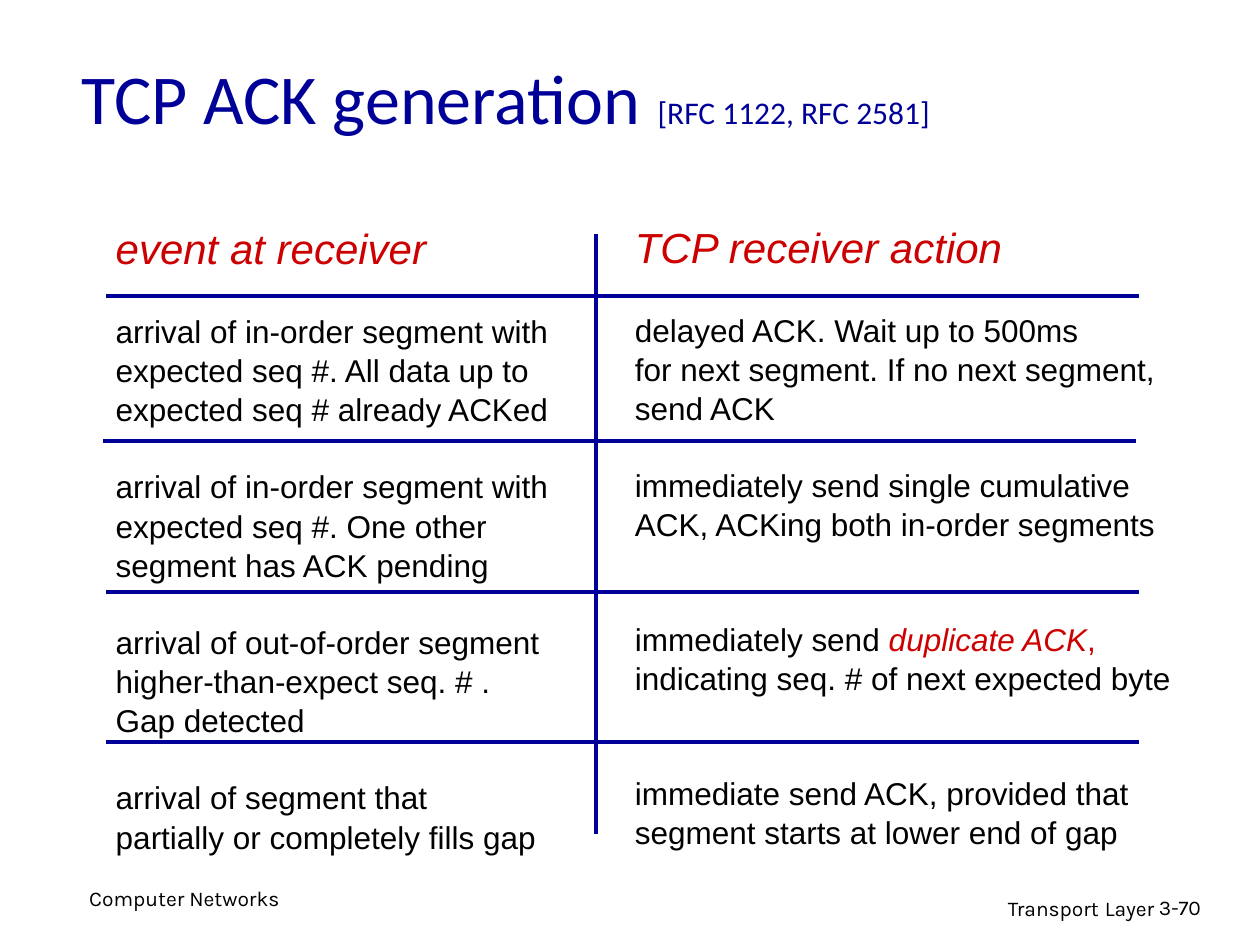
from dataclasses import dataclass

from lxml.etree import SubElement
from pptx import Presentation
from pptx.dml.color import RGBColor
from pptx.enum.shapes import MSO_CONNECTOR as Connector
from pptx.enum.text import MSO_ANCHOR as Anchor, MSO_AUTO_SIZE as AutoSize, PP_ALIGN as Align
from pptx.oxml.ns import qn
from pptx.util import Inches, Pt

NAVY, RED, BLACK = "000099", "CC0000", "000000"
LINE_PITCH = 21.5
LINES_PER_ROW = 4


def color(hex_string):
    return RGBColor.from_string(hex_string)


@dataclass
class Run:
    text: str
    size: float = 18
    ink: str = BLACK
    italic: bool = False
    font: str = "Arial"


class AckSlide:
    """Holds the style and the slide, and adds each kind of element to it."""

    def __init__(self, slide):
        self.slide = slide

    def add_runs(self, paragraph, runs):
        for part in runs:
            run = paragraph.add_run()
            run.text = part.text
            run.font.size = Pt(part.size)
            run.font.name = part.font
            run.font.italic = part.italic
            run.font.color.rgb = color(part.ink)

    def title(self, left, top, width, height, runs):
        heading = self.slide.shapes.title
        heading.left, heading.top = Inches(left), Inches(top)
        heading.width, heading.height = Inches(width), Inches(height)
        frame = heading.text_frame
        frame.word_wrap = True
        frame.auto_size = AutoSize.NONE
        frame.vertical_anchor = Anchor.MIDDLE
        frame.paragraphs[0].alignment = Align.LEFT
        self.add_runs(frame.paragraphs[0], runs)

    def text_frame(self, left, top, width, height):
        box = self.slide.shapes.add_textbox(
            Inches(left), Inches(top), Inches(width), Inches(height))
        box.text_frame.word_wrap = True
        return box.text_frame

    def footer(self, left, top, width, height, runs, align=Align.LEFT):
        paragraph = self.text_frame(left, top, width, height).paragraphs[0]
        paragraph.alignment = align
        self.add_runs(paragraph, runs)

    def column(self, left, top, width, height, header, rows):
        frame = self.text_frame(left, top, width, height)
        frame.word_wrap = False
        frame.auto_size = AutoSize.SHAPE_TO_FIT_TEXT
        heading = frame.paragraphs[0]
        heading.line_spacing = 1.04
        self.add_runs(heading, [Run(header, 24, RED, True)])
        gap = 1
        for lines in rows:
            for index, line in enumerate(lines):
                paragraph = frame.add_paragraph()
                paragraph.line_spacing = 1.04
                if index == 0:
                    paragraph.space_before = Pt(gap * LINE_PITCH)
                self.add_runs(paragraph, [Run(line)] if isinstance(line, str) else line)
            gap = LINES_PER_ROW - len(lines)

    def rule(self, x1, y1, x2, y2):
        line = self.slide.shapes.add_connector(
            Connector.STRAIGHT, Inches(x1), Inches(y1), Inches(x2), Inches(y2))
        line.line.color.rgb = color(NAVY)
        line.line.width = Pt(2.25)
        SubElement(line._element.spPr, qn("a:effectLst"))


EVENTS = [
    ["arrival of in-order segment with", "expected seq #. All data up to",
     "expected seq # already ACKed"],
    ["arrival of in-order segment with", "expected seq #. One other",
     "segment has ACK pending"],
    ["arrival of out-of-order segment", "higher-than-expect seq. # .",
     "Gap detected"],
    ["arrival of segment that", "partially or completely fills gap"],
]
ACTIONS = [
    ["delayed ACK. Wait up to 500ms", "for next segment. If no next segment,",
     "send ACK"],
    ["immediately send single cumulative", "ACK, ACKing both in-order segments"],
    [[Run("immediately send "), Run("duplicate ACK", ink=RED, italic=True), Run(",", ink=RED)],
     "indicating seq. # of next expected byte"],
    ["immediate send ACK, provided that", "segment starts at lower end of gap"],
]


def main():
    deck = Presentation()
    deck.slide_width, deck.slide_height = Inches(10), Inches(7.5)
    page = AckSlide(deck.slides.add_slide(deck.slide_layouts[5]))

    page.title(0.55, 0.38, 8.5, 0.73, [
        Run("TCP ACK generation", 40, NAVY, font="Calibri"),
        Run(" ", 44, NAVY, font="Calibri"),
        Run("[RFC 1122, RFC 2581]", 18, NAVY, font="Calibri")])

    page.column(0.82, 1.7, 3.65, 5.47, "event at receiver", EVENTS)
    page.column(4.94, 1.69, 4.45, 5.47, "TCP receiver action", ACTIONS)

    page.rule(4.73, 1.86, 4.73, 6.62)
    for left, y in [(0.84, 2.35), (0.82, 3.5), (0.84, 4.7), (0.84, 5.89)]:
        page.rule(left, y, left + 8.2, y)

    page.footer(0.61, 6.98, 2.08, 0.4, [Run("Computer Networks", 12, font="Karla")])
    page.footer(6.09, 7.03, 3.17, 0.31, [
        Run("Transport", 12, font="Karla"), Run(" ", 14, font="Karla"),
        Run("Layer", 12, font="Karla")], Align.RIGHT)
    page.footer(9.1, 7.05, 0.74, 0.3, [Run("3-70", 12, font="Karla")])

    deck.save("out.pptx")


if __name__ == "__main__":
    main()
